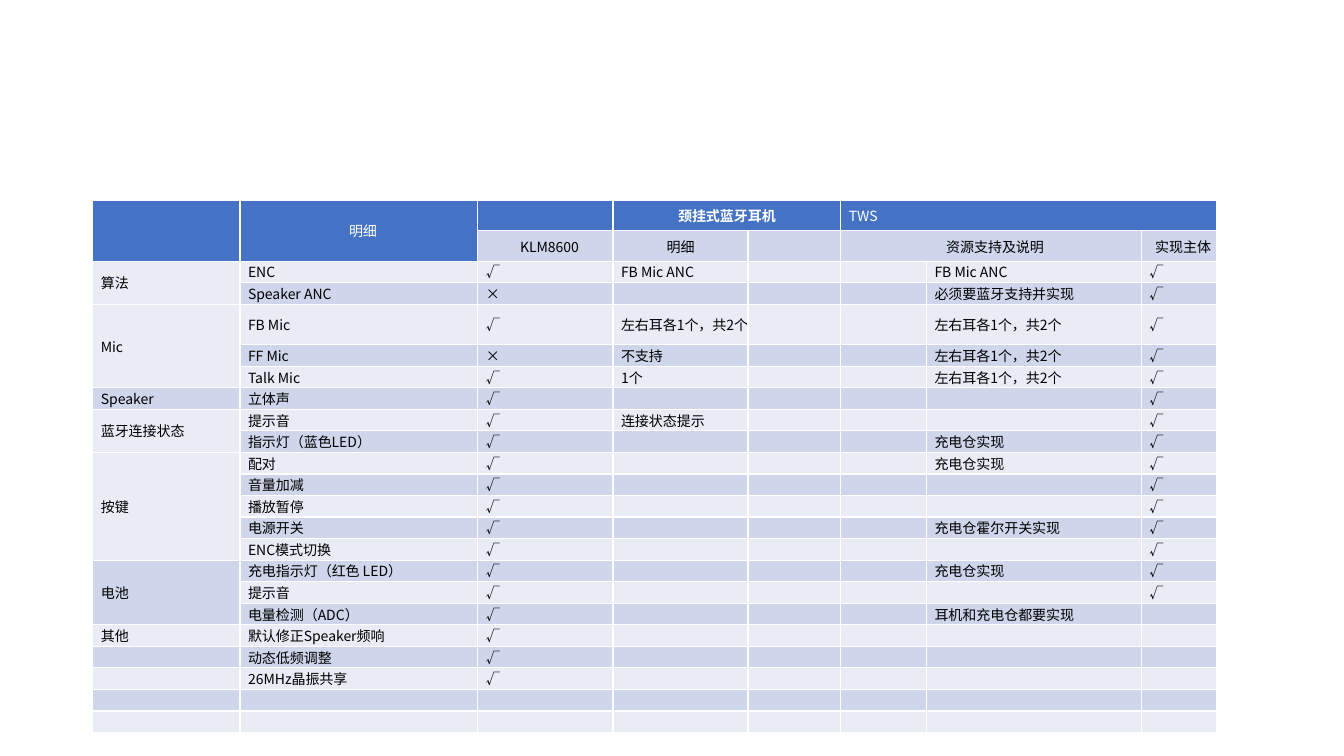
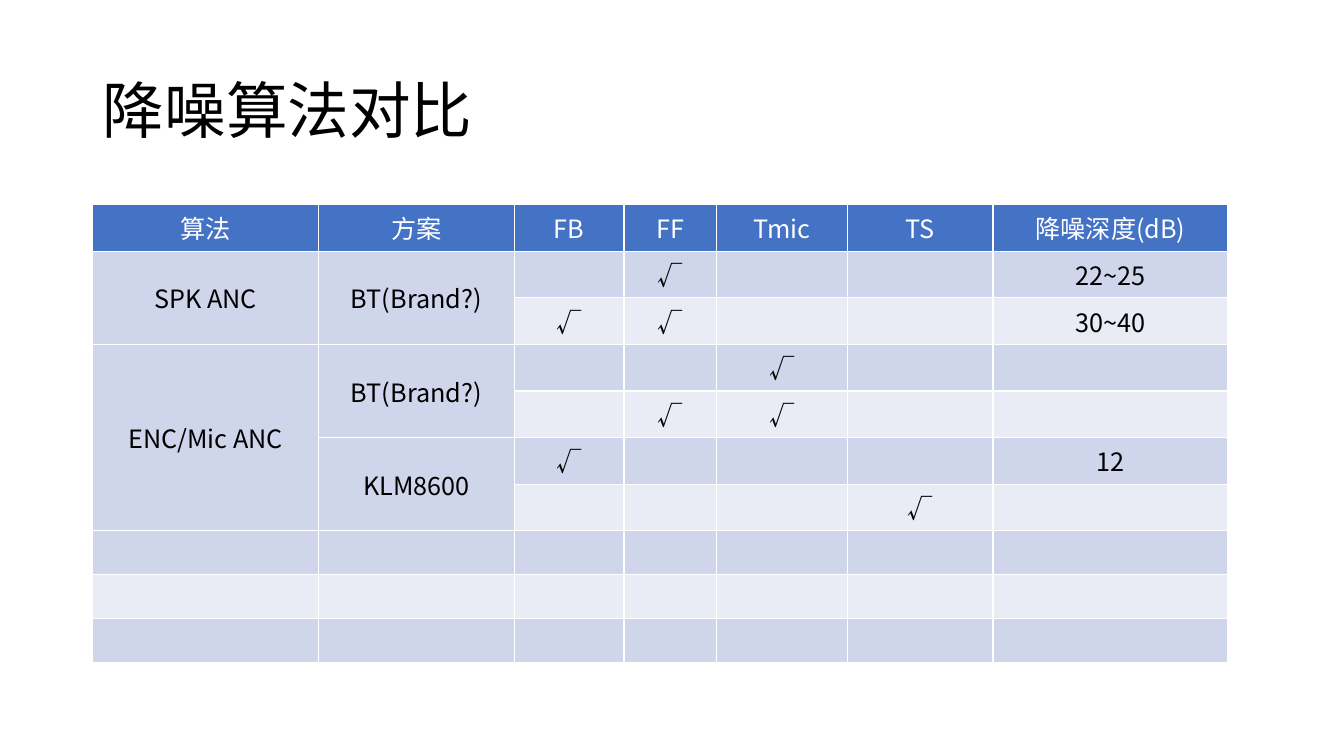
"""Two slides of headset tables: a feature list and a noise reduction comparison."""
from pptx import Presentation
from pptx.dml.color import RGBColor
from pptx.enum.text import MSO_ANCHOR, PP_ALIGN
from pptx.oxml.ns import qn
from pptx.util import Inches, Pt

LEFT, CENTER, MIDDLE = PP_ALIGN.LEFT, PP_ALIGN.CENTER, MSO_ANCHOR.MIDDLE
FONT = "Noto Sans CJK SC"
HUES = {"head": "4472C4", "dark": "CFD5EA", "light": "E9EBF5",
        "white": "FFFFFF", "ink": "000000"}
EDGE = 0.92
UP, BACK = "^", "<"
YES, NO = "√", "×"
PAIR = "左右耳各1个，共2个"
CASE = "充电仓实现"
CHIP = "KLM8600"

PARTS = {
    "cols": [1.46, 2.36, 1.34, 1.34, 0.92, 0.85, 2.13, 0.75],
    "rows": [
        ("", "明细", "", "颈挂式蓝牙耳机", BACK, "TWS", BACK, BACK),
        (UP, UP, CHIP, "明细", "", "资源支持及说明", BACK, "实现主体"),
        ("算法", "ENC", YES, "FB Mic ANC", "", "", "FB Mic ANC", YES),
        (UP, "Speaker ANC", NO, "", "", "", "必须要蓝牙支持并实现", YES),
        ("Mic", "FB Mic", YES, PAIR, "", "", PAIR, YES),
        (UP, "FF Mic", NO, "不支持", "", "", PAIR, YES),
        (UP, "Talk Mic", YES, "1个", "", "", PAIR, YES),
        ("Speaker", "立体声", YES, "", "", "", "", YES),
        ("蓝牙连接状态", "提示音", YES, "连接状态提示", "", "", "", YES),
        (UP, "指示灯（蓝色LED）", YES, "", "", "", CASE, YES),
        ("按键", "配对", YES, "", "", "", CASE, YES),
        (UP, "音量加减", YES, "", "", "", "", YES),
        (UP, "播放暂停", YES, "", "", "", "", YES),
        (UP, "电源开关", YES, "", "", "", "充电仓霍尔开关实现", YES),
        (UP, "ENC模式切换", YES, "", "", "", "", YES),
        ("电池", "充电指示灯（红色 LED）", YES, "", "", "", CASE, YES),
        (UP, "提示音", YES, "", "", "", "", YES),
        (UP, "电量检测（ADC）", YES, "", "", "", "耳机和充电仓都要实现"),
        ("其他", "默认修正Speaker频响", YES),
        ("", "动态低频调整", YES),
        ("", "26MHz晶振共享", YES),
        (),
        (),
    ],
}
MODES = {
    "cols": [2.24, 1.94, 1.09, 0.92, 1.3, 1.44, 2.33],
    "rows": [
        ("算法", "方案", "FB", "FF", "Tmic", "TS", "降噪深度(dB)"),
        ("SPK ANC", "BT(Brand?)", "", YES, "", "", "22~25"),
        (UP, UP, YES, YES, "", "", "30~40"),
        ("ENC/Mic ANC", "BT(Brand?)", "", "", YES),
        (UP, UP, "", YES, YES),
        (UP, CHIP, YES, "", "", "", "12"),
        (UP, UP, "", "", "", YES),
        (),
        (),
        (),
    ],
}


def write(frame, text, size, hue="ink", bold=False, align=LEFT):
    """Put one formatted paragraph in a text frame."""
    para = frame.paragraphs[0]
    para.alignment = align
    if not text:
        para._p.get_or_add_endParaRPr().set("sz", str(size * 100))
        return para
    run = para.add_run()
    run.text = text
    font = run.font
    font.size, font.bold, font.name = Pt(size), bold, FONT
    font.color.rgb = RGBColor.from_string(HUES[hue])
    east = font._element.makeelement(qn("a:ea"), {"typeface": FONT})
    font._element.find(qn("a:latin")).addnext(east)
    return para


def merge(grid, rows):
    """Join each cell with the marked cells below it or to its right."""
    for r, row in enumerate(rows):
        for c, text in enumerate(row):
            if text in (UP, BACK):
                continue
            low, far = r, c
            while low + 1 < len(rows) and rows[low + 1][c] == UP:
                low += 1
            while far + 1 < len(row) and row[far + 1] == BACK:
                far += 1
            if (low, far) != (r, c):
                grid.cell(r, c).merge(grid.cell(low, far))


def draw(slide, data, top, high, size, style):
    """Draw a banded table; style gives alignment, weight and insets per cell."""
    cols = data["cols"]
    rows = [row + ("",) * (len(cols) - len(row)) for row in data["rows"]]
    grid = slide.shapes.add_table(
        len(rows), len(cols), Inches(EDGE), Inches(top),
        Inches(sum(cols)), Inches(high)).table
    for col, wide in zip(grid.columns, cols):
        col.width = Inches(wide)
    for r, row in enumerate(rows):
        for c, text in enumerate(row):
            cell = grid.cell(r, c)
            band = "dark" if r % 2 else "light"
            head = r == 0 or row[c] == UP and rows[0][c] and r == 1
            cell.fill.solid()
            cell.fill.fore_color.rgb = RGBColor.from_string(
                HUES["head" if head else band])
            cell.vertical_anchor = MIDDLE
            align, bold, pads = style(r, c)
            (cell.margin_left, cell.margin_top,
             cell.margin_right, cell.margin_bottom) = map(Inches, pads)
            write(cell.text_frame, "" if text in (UP, BACK) else text, size,
                  hue="white" if head else "ink", bold=bold, align=align)
    merge(grid, rows)


WIDE = (0.1, 0.05, 0.1, 0.05)
SLIM = (0.08, 0, 0, 0)


def dense(r, c):
    """Style the feature list."""
    mid = r < 2 and (r, c) != (0, 5)
    roomy = r < 2 and c == 3
    return CENTER if mid else LEFT, (r, c) == (0, 3), WIDE if roomy else SLIM


def airy(r, c):
    """Style the comparison."""
    return CENTER, False, WIDE


def main():
    """Build both slides."""
    deck = Presentation()
    deck.slide_width, deck.slide_height = Inches(13.33), Inches(7.5)
    only, blank = deck.slide_layouts[5], deck.slide_layouts[6]

    draw(deck.slides.add_slide(blank), PARTS, 1.99, 4.92, 10, dense)

    slide = deck.slides.add_slide(only)
    title = slide.shapes.title
    title.left, title.top = Inches(EDGE), Inches(0.4)
    title.width, title.height = Inches(11.5), Inches(1.45)
    title.text_frame.vertical_anchor = MIDDLE
    write(title.text_frame, "降噪算法对比", 44).line_spacing = 0.9
    draw(slide, MODES, 2.03, 4.35, 18, airy)

    deck.save("out.pptx")


if __name__ == "__main__":
    main()
